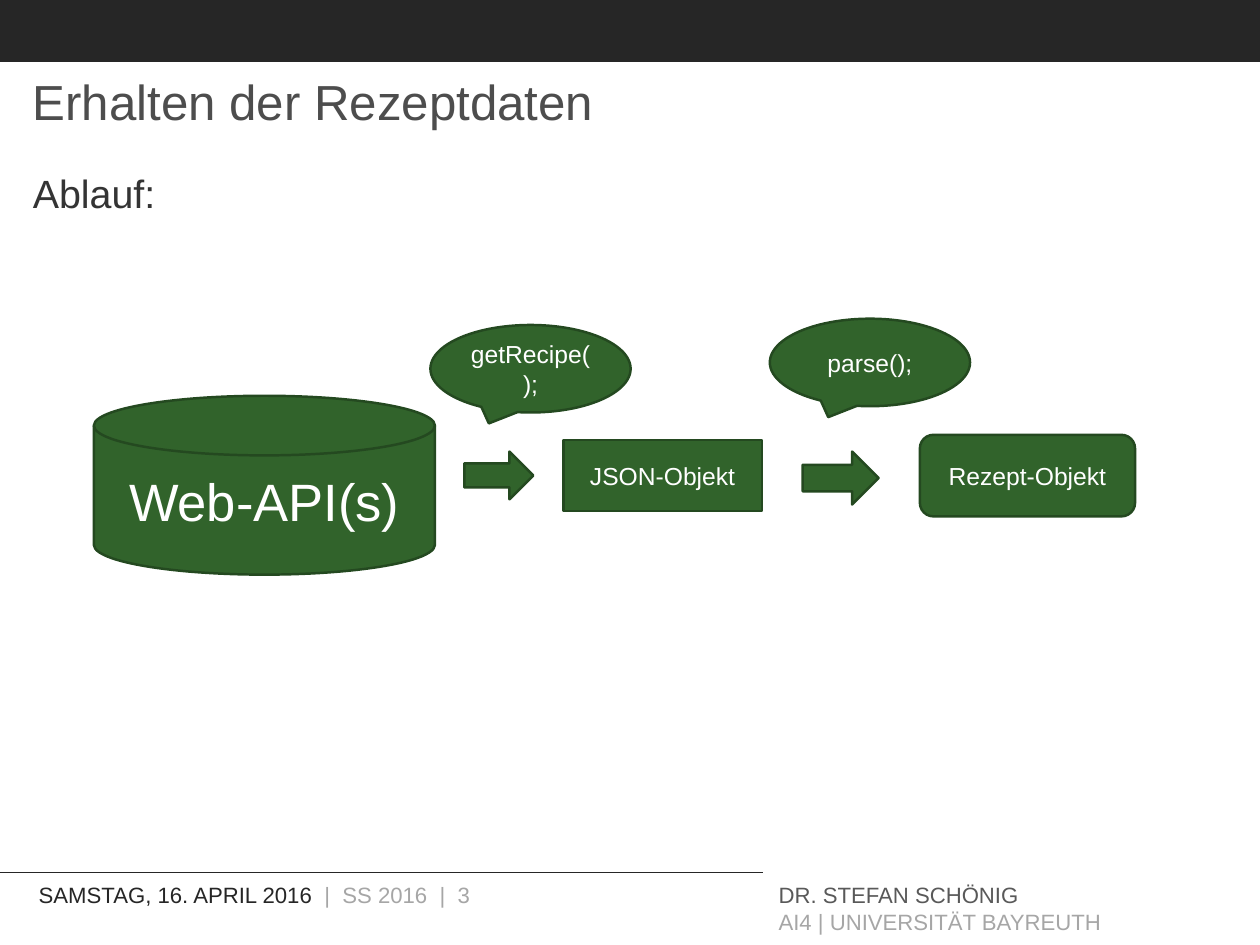
from lxml import etree
from pptx import Presentation
from pptx.dml.color import RGBColor
from pptx.enum.shapes import MSO_CONNECTOR, MSO_SHAPE
from pptx.enum.text import MSO_ANCHOR, MSO_AUTO_SIZE, PP_ALIGN
from pptx.oxml.ns import qn
from pptx.util import Cm, Pt

LEFT, CENTER = PP_ALIGN.LEFT, PP_ALIGN.CENTER
TOP, MIDDLE = MSO_ANCHOR.TOP, MSO_ANCHOR.MIDDLE
NO_FIT = MSO_AUTO_SIZE.NONE
STRAIGHT = MSO_CONNECTOR.STRAIGHT
DISK = MSO_SHAPE.FLOWCHART_MAGNETIC_DISK
RECT = MSO_SHAPE.RECTANGLE
ROUND_RECT = MSO_SHAPE.ROUNDED_RECTANGLE
ARROW = MSO_SHAPE.RIGHT_ARROW
CALLOUT = MSO_SHAPE.OVAL_CALLOUT

WHITE = RGBColor(0xFF, 0xFF, 0xFF)
BLACK = RGBColor(0x26, 0x26, 0x26)
TITLE_GREY = RGBColor(0x4D, 0x4D, 0x4D)
BODY_GREY = RGBColor(0x34, 0x34, 0x34)
DARK_GREY = RGBColor(0x59, 0x59, 0x59)
LIGHT_GREY = RGBColor(0xA6, 0xA6, 0xA6)
GREEN = RGBColor(0x31, 0x63, 0x2B)
DARK_GREEN = RGBColor(0x24, 0x49, 0x20)

SLIDE_W, SLIDE_H = 36.12, 27.1


def set_attrs(obj, values):
    for name, value in values.items():
        setattr(obj, name, value)


def add_run(p, text, size, color):
    r = p.add_run()
    r.text = text
    set_attrs(r.font, {"name": "Arial", "size": Pt(size), "bold": False})
    r.font.color.rgb = color


def add_box(s, kind, box, fill, line):
    sp = s.shapes.add_shape(kind, *map(Cm, box))
    sp.shadow.inherit = False
    sp.fill.solid()
    sp.fill.fore_color.rgb = fill
    sp.line.color.rgb = line
    sp.line.width = Pt(2)
    return sp


def fill_placeholder(sp, box, text, size, color, anchor):
    set_attrs(sp, dict(zip(("left", "top", "width", "height"), map(Cm, box))))
    tf = sp.text_frame
    margins = ("margin_left", "margin_top", "margin_right", "margin_bottom")
    set_attrs(tf, dict.fromkeys(margins, Cm(0.1)))
    set_attrs(tf, {"auto_size": NO_FIT, "vertical_anchor": anchor,
                   "word_wrap": True})
    p = tf.paragraphs[0]
    set_attrs(p, {"alignment": LEFT, "space_before": Pt(0)})
    add_run(p, text, size, color)
    return p


def add_title(s, box):
    fill_placeholder(s.shapes.title, box, "Erhalten der Rezeptdaten",
                     40, TITLE_GREY, MIDDLE)


def add_body(s, box):
    p = fill_placeholder(s.placeholders[1], box, "Ablauf:",
                         32, BODY_GREY, TOP)
    pPr = p._p.get_or_add_pPr()
    pPr.set("marL", str(Cm(0.97)))
    pPr.set("indent", str(Cm(-0.97)))
    etree.SubElement(pPr, qn("a:buNone"))


def add_flow(s, box):
    left, top = box
    steps = [
        (DISK, 0, 2.21, 9.78, 5.13, "Web-API(s)", 42.7),
        (RECT, 13.46, 3.48, 5.69, 2.03, "JSON-Objekt", 20),
        (ARROW, 10.62, 3.81, 1.98, 1.37, "", 20),
        (CALLOUT, 9.65, 0.18, 5.74, 2.51, "getRecipe();", 20),
        (ARROW, 20.32, 3.81, 2.18, 1.52, "", 20),
        (CALLOUT, 19.38, 0, 5.74, 2.51, "parse();", 20),
        (ROUND_RECT, 23.68, 3.33, 6.17, 2.34, "Rezept-Objekt", 20),
    ]
    for kind, x, y, w, h, text, size in steps:
        sp = add_box(s, kind, (left + x, top + y, w, h), GREEN, DARK_GREEN)
        if text:
            tf = sp.text_frame
            set_attrs(tf, {"word_wrap": True, "vertical_anchor": MIDDLE,
                           "margin_left": Cm(0.28), "margin_right": Cm(0.28)})
            p = tf.paragraphs[0]
            p.alignment = CENTER
            add_run(p, text, size, WHITE)


def add_footer(s, box):
    left, top = box
    line = s.shapes.add_connector(STRAIGHT, Cm(left + 21.87), Cm(top),
                                  Cm(left), Cm(top))
    line.line.color.rgb = BLACK
    line.line.width = Pt(1)
    etree.SubElement(line._element.spPr, qn("a:effectLst"))
    blocks = [
        (0.86, 17.81, 1.02, [[("SAMSTAG, 16. APRIL 2016  ", BLACK),
                              ("|  SS 2016  |  3", LIGHT_GREY)]]),
        (22.07, 10.41, 1.8, [[("DR. STEFAN SCHÖNIG", DARK_GREY)],
                             [("AI4 | UNIVERSITÄT BAYREUTH", LIGHT_GREY)]]),
    ]
    for x, w, h, paragraphs in blocks:
        sp = s.shapes.add_textbox(Cm(left + x), Cm(top + 0.13), Cm(w), Cm(h))
        tf = sp.text_frame
        tf.word_wrap = True
        for i, runs in enumerate(paragraphs):
            p = tf.add_paragraph() if i else tf.paragraphs[0]
            for text, color in runs:
                add_run(p, text, 18, color)


def main():
    prs = Presentation()
    set_attrs(prs, {"slide_width": Cm(SLIDE_W), "slide_height": Cm(SLIDE_H)})
    s = prs.slides.add_slide(prs.slide_layouts[1])
    add_box(s, RECT, (0, 0, SLIDE_W, 1.75), BLACK, BLACK)
    add_title(s, (0.84, 1.83, 33.71, 2.13))
    add_body(s, (0.84, 4.75, 33.63, 19.41))
    add_flow(s, (2.69, 9.14))
    add_footer(s, (0, 25.02))
    prs.save("out.pptx")


if __name__ == "__main__":
    main()
